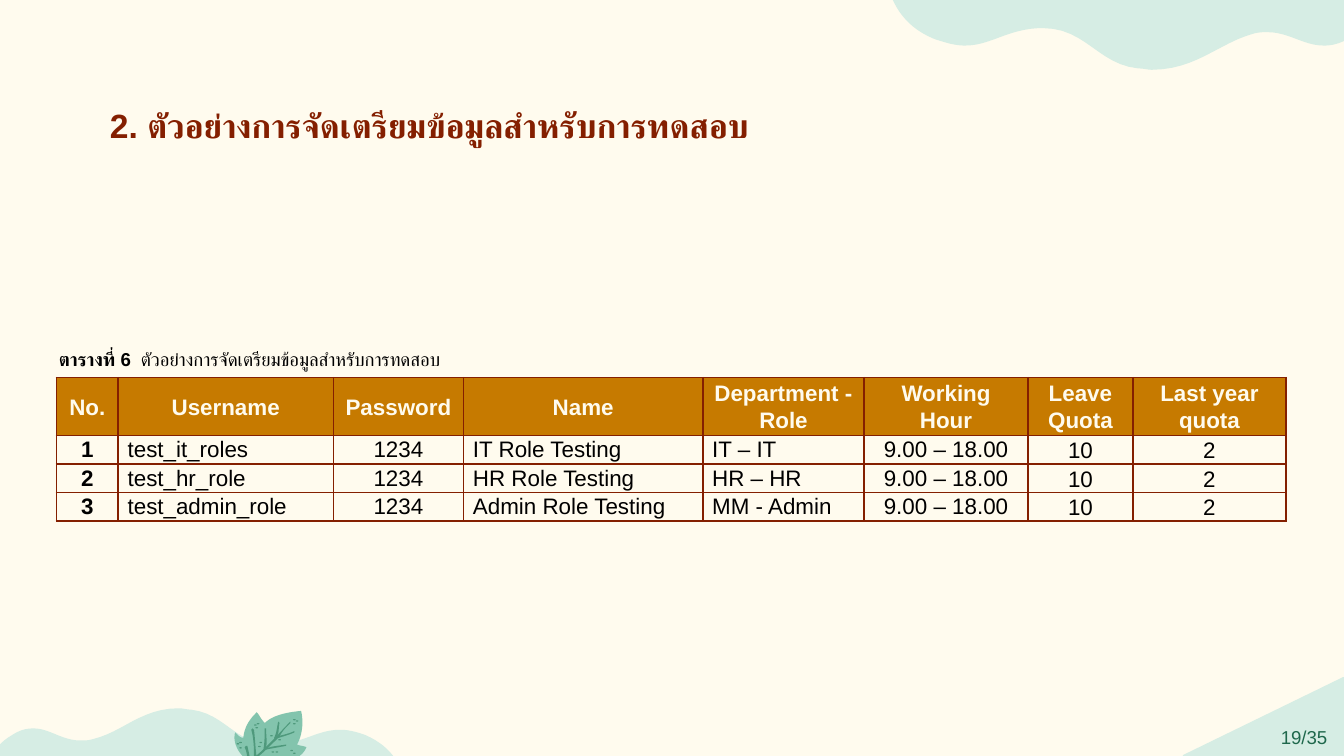
"""Build the slide that lists the prepared test accounts."""
from lxml import etree
from pptx import Presentation
from pptx import util as u
from pptx.dml.color import RGBColor
from pptx.enum import shapes, text
from pptx.oxml.ns import qn

CREAM = RGBColor(0xFF, 0xFB, 0xEE)
MINT = RGBColor(0xD6, 0xED, 0xE4)
LEAF = RGBColor(0x83, 0xC4, 0xAD)
VEIN = RGBColor(0x4F, 0x99, 0x7C)
PINE = RGBColor(0x1F, 0x68, 0x4C)
ORANGE = RGBColor(0xC6, 0x7A, 0x00)
BROWN = RGBColor(0x84, 0x1F, 0x00)
BLACK = RGBColor(0, 0, 0)

LEFT, CENTER = text.PP_ALIGN.LEFT, text.PP_ALIGN.CENTER
TOP, MIDDLE = text.MSO_ANCHOR.TOP, text.MSO_ANCHOR.MIDDLE

TOP_WAVE = [
    (8.57, 0.52), (8.9, 0.52, 9.07, 0.32, 9.33, 0.25), (9.37, 0.24, 9.4, 0.24, 9.43, 0.24),
    (9.59, 0.24, 9.7, 0.34, 9.85, 0.34), (9.9, 0.34, 9.96, 0.33, 10.03, 0.29),
    (10.2, 0.2, 10.21, 0.08, 10.21, -0.04), (6.63, -0.03),
    (6.68, 0.09, 6.76, 0.21, 6.95, 0.29), (7.04, 0.32, 7.11, 0.34, 7.18, 0.34),
    (7.37, 0.34, 7.49, 0.22, 7.73, 0.21), (7.74, 0.21, 7.75, 0.21, 7.76, 0.21),
    (8.08, 0.21, 8.17, 0.48, 8.47, 0.51), (8.51, 0.51, 8.54, 0.52, 8.57, 0.52)]
BOTTOM_WAVE = [
    (-0.07, 5.75), (2.99, 5.74), (2.95, 5.64, 2.88, 5.54, 2.72, 5.47),
    (2.64, 5.44, 2.58, 5.43, 2.53, 5.43), (2.36, 5.43, 2.26, 5.53, 2.05, 5.54),
    (2.05, 5.54, 2.04, 5.54, 2.03, 5.54), (1.75, 5.54, 1.68, 5.31, 1.42, 5.28),
    (1.39, 5.28, 1.36, 5.27, 1.33, 5.27), (1.05, 5.27, 0.91, 5.45, 0.69, 5.5),
    (0.66, 5.51, 0.63, 5.51, 0.6, 5.51), (0.46, 5.51, 0.37, 5.42, 0.25, 5.42),
    (0.2, 5.42, 0.15, 5.43, 0.09, 5.47), (-0.05, 5.55, -0.07, 5.65, -0.07, 5.75)]
LEAF_BODY = [
    (2.24, 5.29), (2.14, 5.3, 2.03, 5.32, 1.97, 5.38), (1.94, 5.35, 1.93, 5.32, 1.91, 5.3),
    (1.85, 5.36, 1.82, 5.41, 1.81, 5.49), (1.79, 5.49, 1.78, 5.48, 1.75, 5.45),
    (1.73, 5.51, 1.76, 5.61, 1.87, 5.68), (1.9, 5.72, 1.98, 5.75, 2.04, 5.75),
    (2.07, 5.75, 2.1, 5.75, 2.12, 5.74), (2.1, 5.72, 2.07, 5.7, 2.05, 5.69),
    (2.15, 5.67, 2.25, 5.64, 2.28, 5.56), (2.26, 5.55, 2.23, 5.55, 2.21, 5.54),
    (2.25, 5.47, 2.26, 5.37, 2.24, 5.29)]
VEINS = [
    [(2.16, 5.37), (2.05, 5.48, 1.95, 5.61, 1.81, 5.69), (1.77, 5.71, 1.72, 5.73, 1.68, 5.74),
     (1.68, 5.75), (1.85, 5.72, 1.97, 5.59, 2.08, 5.48), (2.1, 5.44, 2.13, 5.41, 2.16, 5.38)],
    [(2.07, 5.37), (2.06, 5.41, 2.06, 5.45, 2.04, 5.49), (2.05, 5.5),
     (2.1, 5.48, 2.15, 5.47, 2.19, 5.45), (2.19, 5.44),
     (2.15, 5.46, 2.1, 5.47, 2.06, 5.48), (2.08, 5.45, 2.07, 5.41, 2.08, 5.38)],
    [(1.97, 5.42), (1.97, 5.47, 1.97, 5.53, 1.96, 5.58), (1.97, 5.58),
     (2.02, 5.57, 2.08, 5.56, 2.13, 5.55), (2.13, 5.54),
     (2.08, 5.55, 2.03, 5.55, 1.98, 5.57), (1.99, 5.52, 1.98, 5.47, 1.98, 5.42)],
    [(1.88, 5.42), (1.87, 5.43), (1.89, 5.5, 1.89, 5.57, 1.89, 5.64), (1.9, 5.65),
     (1.93, 5.64, 1.97, 5.64, 2, 5.64), (2.05, 5.64, 2.09, 5.64, 2.13, 5.65), (2.13, 5.63),
     (2.09, 5.63, 2.05, 5.63, 2.01, 5.63), (1.97, 5.63, 1.94, 5.63, 1.91, 5.63),
     (1.9, 5.57, 1.9, 5.5, 1.89, 5.43)],
    [(1.83, 5.55), (1.82, 5.56), (1.84, 5.6, 1.84, 5.64, 1.84, 5.68), (1.85, 5.69),
     (1.9, 5.7, 1.95, 5.7, 2, 5.71), (2.01, 5.7),
     (1.96, 5.69, 1.91, 5.69, 1.86, 5.67), (1.86, 5.63, 1.85, 5.59, 1.84, 5.55)]]
SPECKLES = [
    (2.16, 5.58), (2.18, 5.6), (1.89, 5.39), (1.91, 5.38), (1.9, 5.41), (2.18, 5.35),
    (2.18, 5.38), (2.2, 5.36), (1.93, 5.52), (1.92, 5.55), (2.02, 5.59), (2.05, 5.59),
    (2.07, 5.5), (2.01, 5.47), (1.76, 5.53), (1.78, 5.52), (1.78, 5.56)]

COLUMNS = [("No.", 0.46), ("Username", 1.6), ("Password", 0.97), ("Name", 1.78),
           ("Department - Role", 1.2), ("Working Hour", 1.22), ("Leave Quota", 0.78),
           ("Last year quota", 1.14)]
ACCOUNTS = [("test_it_roles", "IT Role Testing", "IT – IT"),
            ("test_hr_role", "HR Role Testing", "HR – HR"),
            ("test_admin_role", "Admin Role Testing", "MM - Admin")]
LEFT_COLUMNS = (1, 3, 4)
QUOTA_COLUMNS = (6, 7)
TABLE_HEIGHT, HEADER_HEIGHT = 1.07, 0.43


def apply_format(target, values):
    """Set each named attribute of the target."""
    for name, value in values.items():
        setattr(target, name, value)


def add_span(para, words, size, color, bold=False):
    """Add one run of Arial text to a paragraph."""
    span = para.add_run()
    span.text = words
    apply_format(span.font, {"name": "Arial", "size": u.Pt(size), "bold": bold})
    span.font.color.rgb = color


def paint(shape, color):
    """Give a shape a flat fill without outline or shadow."""
    shape.shadow.inherit = False
    shape.fill.solid()
    shape.fill.fore_color.rgb = color
    shape.line.fill.background()


def trace(outline, steps=12):
    """Turn an outline of lines and cubic curves into points."""
    points = [outline[0]]
    for segment in outline[1:]:
        if len(segment) == 2:
            points.append(segment)
            continue
        start = points[-1]
        for step in range(1, steps + 1):
            t = step / steps
            s = 1 - t
            points.append(tuple(
                s**3 * start[i] + 3 * s * s * t * segment[i]
                + 3 * s * t * t * segment[i + 2] + t**3 * segment[i + 4] for i in (0, 1)))
    return [(u.Inches(x), u.Inches(y)) for x, y in points]


def add_outline(page, outline, color):
    """Draw a closed, filled outline."""
    first, *rest = trace(outline)
    builder = page.shapes.build_freeform(*first)
    builder.add_line_segments(rest, close=True)
    paint(builder.convert_to_shape(), color)


def add_leaf(page):
    """Draw the leaf with its veins and speckles."""
    add_outline(page, LEAF_BODY, LEAF)
    for vein in VEINS:
        add_outline(page, vein, VEIN)
    for x, y in SPECKLES:
        speckle = page.shapes.add_shape(
            shapes.MSO_SHAPE.OVAL, u.Inches(x), u.Inches(y), u.Inches(0.02), u.Inches(0.01))
        paint(speckle, VEIN)


def add_text(page, left, top, width, height):
    """Add a wrapping text box and return its paragraph."""
    box = page.shapes.add_textbox(*map(u.Inches, (left, top, width, height)))
    box.text_frame.word_wrap = True
    return box.text_frame.paragraphs[0]


def add_tab_stop(para, position):
    """Set one left tab stop on a paragraph."""
    tabs = etree.SubElement(para._p.get_or_add_pPr(), qn("a:tabLst"))
    etree.SubElement(tabs, qn("a:tab"), pos=str(u.Inches(position)), algn="l")


def add_borders(cell):
    """Draw a thin brown border around a cell."""
    properties = cell._tc.get_or_add_tcPr()
    for side in ("a:lnL", "a:lnR", "a:lnT", "a:lnB"):
        line = etree.SubElement(properties, qn(side), w=str(u.Pt(1)))
        fill = etree.SubElement(line, qn("a:solidFill"))
        etree.SubElement(fill, qn("a:srgbClr"), val=str(BROWN))


def fill_cell(cell, words, row, column):
    """Write and style one table cell."""
    header = row == 0
    apply_format(cell, {
        "margin_left": u.Inches(0.07), "margin_right": u.Inches(0.07),
        "margin_top": 0, "margin_bottom": 0,
        "vertical_anchor": MIDDLE if header or column in QUOTA_COLUMNS else TOP})
    add_borders(cell)
    if header:
        cell.fill.solid()
        cell.fill.fore_color.rgb = ORANGE
    else:
        cell.fill.background()
    para = cell.text_frame.paragraphs[0]
    apply_format(para, {
        "alignment": LEFT if column in LEFT_COLUMNS and not header else CENTER,
        "line_spacing": 1.07})
    add_span(para, words, 12, CREAM if header else BLACK, header or column == 0)


def add_account_table(page):
    """Add the table of test accounts."""
    rows = [[title for title, _ in COLUMNS]]
    for number, (user, name, role) in enumerate(ACCOUNTS, 1):
        rows.append([str(number), user, "1234", name, role, "9.00 – 18.00", "10", "2"])
    table = page.shapes.add_table(
        len(rows), len(COLUMNS), *map(u.Inches, (0.42, 2.81, 9.16, TABLE_HEIGHT))).table
    for column, (_, width) in zip(table.columns, COLUMNS):
        column.width = u.Inches(width)
    body_height = (TABLE_HEIGHT - HEADER_HEIGHT) / len(ACCOUNTS)
    for r, values in enumerate(rows):
        table.rows[r].height = u.Inches(body_height if r else HEADER_HEIGHT)
        for c, words in enumerate(values):
            fill_cell(table.cell(r, c), words, r, c)


def add_page_corner(page, words):
    """Add the corner triangle that carries the page number."""
    corner = page.shapes.add_shape(
        shapes.MSO_SHAPE.ISOSCELES_TRIANGLE, *map(u.Inches, (8.81, 5.05, 1.19, 0.58)))
    corner.adjustments[0] = 1
    paint(corner, MINT)
    corner.line.color.rgb = MINT
    corner.line.width = u.Pt(2)
    corner.text_frame.vertical_anchor = MIDDLE
    para = corner.text_frame.paragraphs[0]
    para.alignment = CENTER
    add_span(para, words, 10, PINE)


def main():
    """Build and save the deck."""
    deck = Presentation()
    width = u.Inches(10)
    apply_format(deck, {"slide_width": width, "slide_height": width * 9 // 16})
    page = deck.slides.add_slide(deck.slide_layouts[6])
    page.background.fill.solid()
    page.background.fill.fore_color.rgb = CREAM
    add_outline(page, TOP_WAVE, MINT)
    add_outline(page, BOTTOM_WAVE, MINT)
    add_leaf(page)
    add_account_table(page)
    title = add_text(page, 0.72, 0.73, 8.64, 0.4)
    add_span(title, "2. ตัวอย่างการจัดเตรียมข้อมูลสำหรับการทดสอบ", 18, BROWN, True)
    caption = add_text(page, 0.34, 2.54, 7.41, 0.27)
    add_tab_stop(caption, 0.61)
    add_span(caption, "ตารางที่ 6", 10, BLACK, True)
    add_span(caption, "\tตัวอย่างการจัดเตรียมข้อมูลสำหรับการทดสอบ", 10, BLACK)
    add_page_corner(page, "19/35")
    deck.save("out.pptx")


if __name__ == "__main__":
    main()
